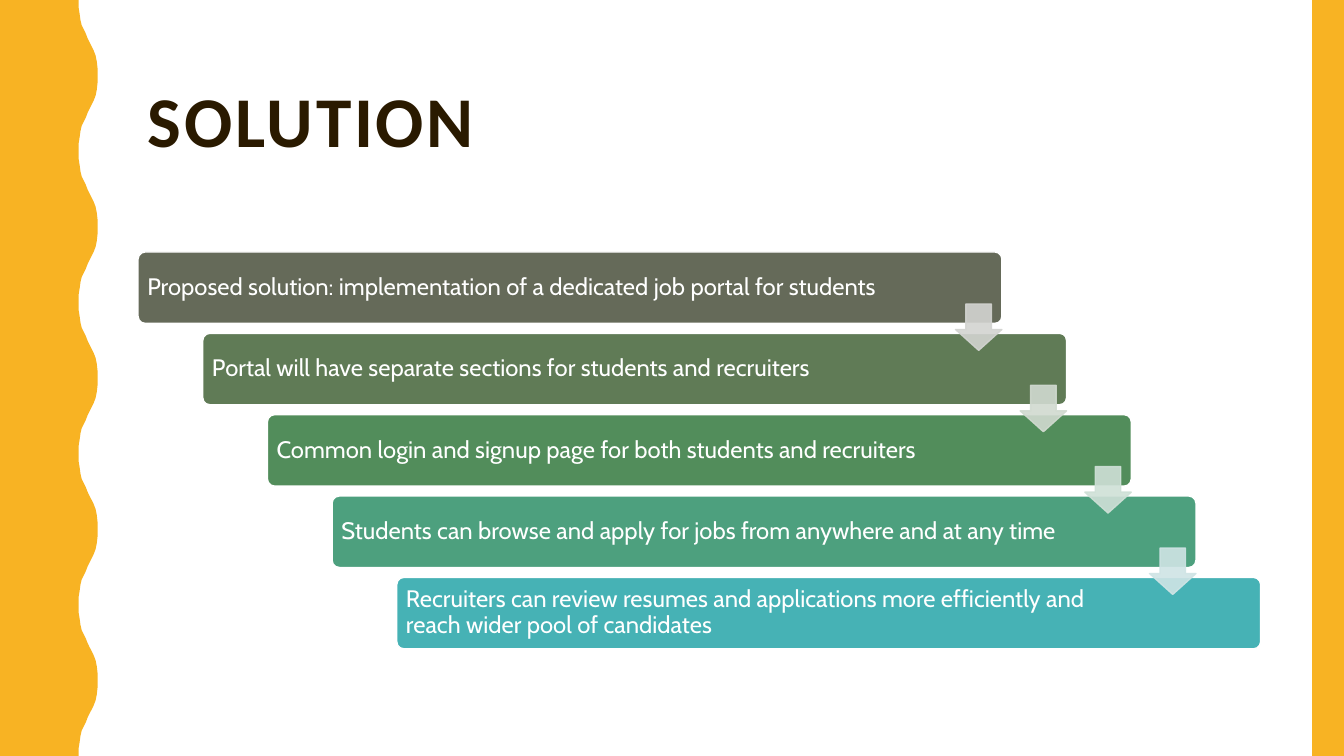
from lxml import etree
from pptx import Presentation
from pptx.dml.color import RGBColor
from pptx.enum.shapes import MSO_SHAPE as Preset
from pptx.enum.text import MSO_ANCHOR as Anchor, PP_ALIGN as Align
from pptx.oxml.ns import qn
from pptx.util import Cm, Pt

AMBER, BROWN, WHITE = "F8B323", "2A1A00", "FFFFFF"
SLIDE_W, SLIDE_H = 33.87, 19.05


def paint(color_format, color, opacity=100):
    """Fill a FillFormat with a solid colour, see-through below 100 percent."""
    color_format.solid()
    color_format.fore_color.rgb = RGBColor.from_string(color)
    if opacity < 100:
        srgb = color_format._xPr.find(qn("a:solidFill")).find(qn("a:srgbClr"))
        etree.SubElement(srgb, qn("a:alpha")).set("val", str(opacity * 1000))


def write(paragraph, text, font_name, size, color):
    paragraph.alignment = Align.LEFT
    paragraph.line_spacing = 0.9
    run = paragraph.add_run()
    run.text = text
    run.font.name = font_name
    run.font.size = Pt(size)
    run.font.color.rgb = RGBColor.from_string(color)
    return run


prs = Presentation()
prs.slide_width, prs.slide_height = Cm(SLIDE_W), Cm(SLIDE_H)
slide = prs.slides.add_slide(prs.slide_layouts[6])
paint(slide.background.fill, WHITE)
shapes = slide.shapes

# Title
title = shapes.add_textbox(Cm(3.48), Cm(1.07), Cm(28.27), Cm(4.14)).text_frame
title.word_wrap = True
title.vertical_anchor = Anchor.MIDDLE
title_run = write(title.paragraphs[0], "SOLUTION", "Calibri", 51, BROWN)
title_run.font.bold = True
title_run._r.get_or_add_rPr().set("spc", "200")

# Left band: half a wave, mirrored and repeated five times down the slide
WAVE_COUNT = 5
WAVE_H = SLIDE_H / WAVE_COUNT
half_wave = [
    (1.98, 0), (1.98, 0.18), (2.01, 0.36), (2.03, 0.51), (2.06, 0.64),
    (2.11, 0.74), (2.16, 0.84), (2.21, 0.97), (2.26, 1.07), (2.31, 1.17),
    (2.36, 1.27), (2.41, 1.4), (2.44, 1.55), (2.46, 1.73), (2.46, 1.9),
]
wave = half_wave + [(x, WAVE_H - y) for x, y in reversed(half_wave)]
edge = [(Cm(x), Cm(y + n * WAVE_H)) for n in range(WAVE_COUNT) for x, y in wave]
outline = shapes.build_freeform(0, 0)
outline.add_line_segments(edge + [(0, Cm(SLIDE_H))], close=True)
wavy_band = outline.convert_to_shape()

# Right band
right_band = shapes.add_shape(Preset.RECTANGLE, Cm(33.07), 0, Cm(0.8), Cm(SLIDE_H))
for band in (wavy_band, right_band):
    band.shadow.inherit = False
    paint(band.fill, AMBER)
    band.line.fill.background()

# Staircase of steps
STEP_LEFT, STEP_TOP, STEP_W, STEP_H = 3.48, 6.35, 21.77, 1.8
SHIFT_X, SHIFT_Y = 1.63, 2.05
steps = [
    ("Proposed solution: implementation of a dedicated job portal for students", "656A59"),
    ("Portal will have separate sections for students and recruiters", "607B56"),
    ("Common login and signup page for both students and recruiters", "528D5B"),
    ("Students can browse and apply for jobs from anywhere and at any time", "4DA07E"),
    ("Recruiters can review resumes and applications more efficiently and "
     "reach wider pool of candidates", "46B2B5"),
]
for i, (text, color) in enumerate(steps):
    step = shapes.add_shape(
        Preset.ROUNDED_RECTANGLE,
        Cm(STEP_LEFT + i * SHIFT_X), Cm(STEP_TOP + i * SHIFT_Y), Cm(STEP_W), Cm(STEP_H))
    step.adjustments[0] = 0.1
    step.shadow.inherit = False
    paint(step.fill, color)
    paint(step.line.fill, WHITE)
    step.line.width = Pt(1)
    frame = step.text_frame
    frame.word_wrap = True
    frame.vertical_anchor = Anchor.MIDDLE
    frame.margin_left = frame.margin_top = frame.margin_bottom = Cm(0.18)
    frame.margin_right = Cm(2.97)  # keeps the text clear of the arrow
    write(frame.paragraphs[0], text, "Cabin", 17, WHITE)

# Arrows from each step to the next, flush with the step's right edge
ARROW = 1.17
for i, color in enumerate(["D3D4D1", "D1DAD0", "CFE0D7", "CFE4E5"]):
    arrow = shapes.add_shape(
        Preset.DOWN_ARROW,
        Cm(STEP_LEFT + STEP_W - ARROW + i * SHIFT_X), Cm(STEP_TOP + 1.31 + i * SHIFT_Y),
        Cm(ARROW), Cm(ARROW))
    arrow.adjustments[0], arrow.adjustments[1] = 0.55, 0.45
    arrow.shadow.inherit = False
    paint(arrow.fill, color, 90)
    paint(arrow.line.fill, color, 90)
    arrow.line.width = Pt(1)

prs.save("out.pptx")
